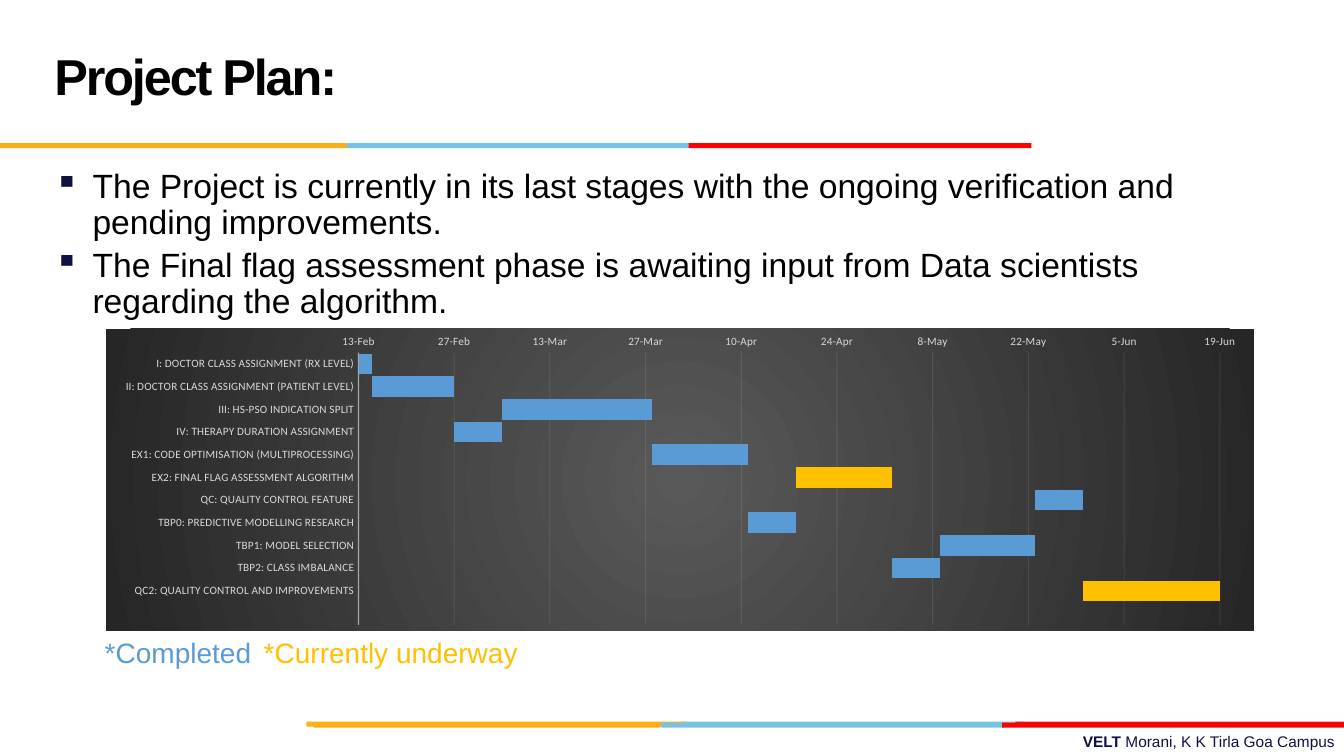
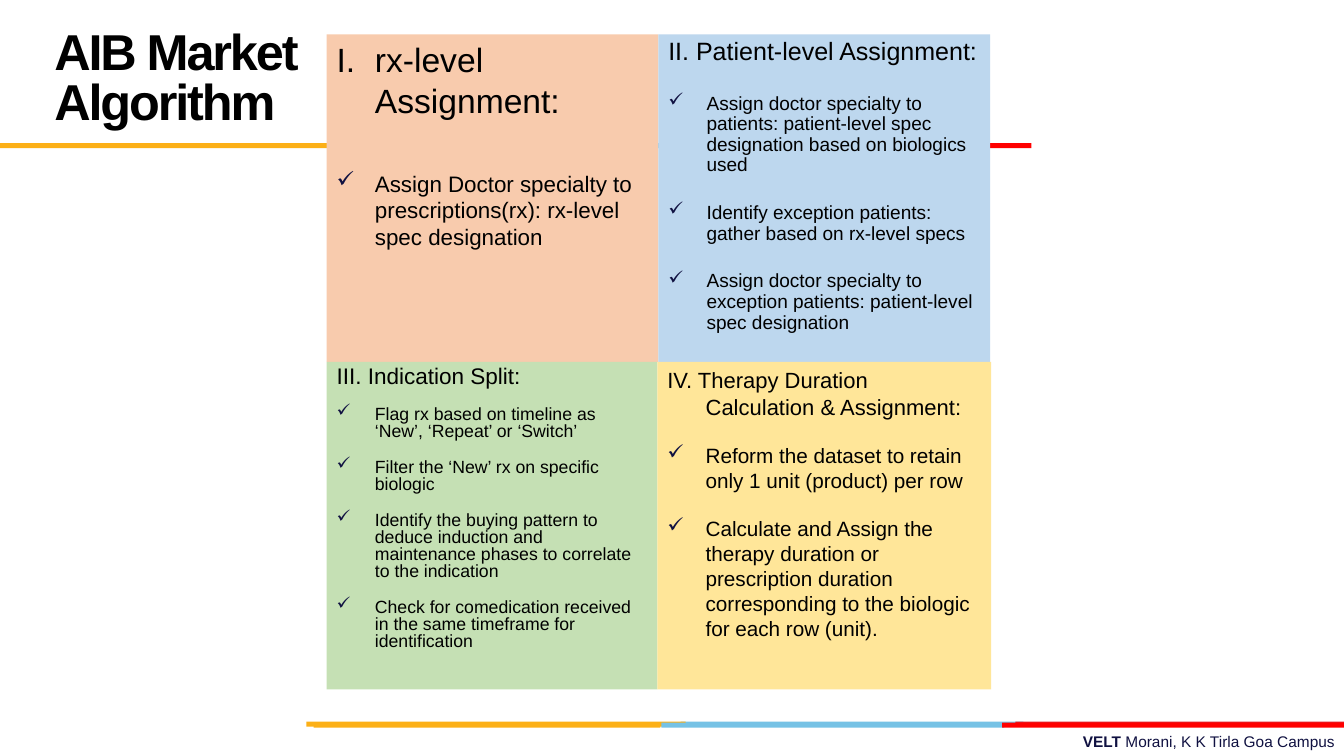
"""Build a two-slide project deck: a Gantt-style plan and a four-panel algorithm."""
import pptx
import pptx.chart.data
import pptx.dml.color
import pptx.enum.chart
import pptx.enum.shapes
import pptx.enum.text
import pptx.oxml
import pptx.oxml.ns
import pptx.util

RGB = pptx.dml.color.RGBColor
Pt = pptx.util.Pt
ALIGN = pptx.enum.text.PP_ALIGN
ANCHOR = pptx.enum.text.MSO_ANCHOR
RECTANGLE = pptx.enum.shapes.MSO_SHAPE.RECTANGLE
TICK_NONE = pptx.enum.chart.XL_TICK_MARK.NONE

PX = 9144
BLACK = RGB(0x00, 0x00, 0x00)
NAVY = RGB(0x10, 0x11, 0x41)
YELLOW = RGB(0xFC, 0xB0, 0x17)
SKY = RGB(0x76, 0xC2, 0xE5)
RED = RGB(0xFF, 0x00, 0x00)
CRIMSON = RGB(0xE3, 0x1C, 0x24)
DONE = RGB(0x5B, 0x9B, 0xD5)
UNDERWAY = RGB(0xFF, 0xC0, 0x00)
LABEL = RGB(0xD9, 0xD9, 0xD9)
RULE = RGB(0xF2, 0xF2, 0xF2)
PEACH = RGB(0xF8, 0xCB, 0xAD)
PALE_BLUE = RGB(0xBD, 0xD7, 0xEE)
PALE_GREEN = RGB(0xC5, 0xE0, 0xB4)
PALE_YELLOW = RGB(0xFF, 0xE6, 0x99)

BODY = {"name": "Arial", "color": BLACK}
TITLE = {**BODY, "size": Pt(36), "bold": True}
FOOTER = {"name": "Arial", "color": NAVY, "size": Pt(11)}
AXIS = {"name": "Calibri", "color": LABEL, "size": Pt(8)}
HANG = 38
LINE_HEIGHT = 1.15
SPACE_BEFORE = 0.2

BAR_HEIGHT = 5
BARS = [
    (675, 716, 340, SKY), (1007, 716, 326, CRIMSON), (304, 716, 376, YELLOW),
    (656, 717, 340, SKY), (311, 717, 344, YELLOW), (994, 717, 340, RED),
    (344, 142, 340, SKY), (0, 142, 344, YELLOW), (683, 142, 340, RED),
]
FOOTER_SPANS = [("VELT ", True), ("Morani, K K Tirla Goa Campus", False)]

PLAN_POINTS = [
    "The Project is currently in its last stages with the ongoing verification and pending improvements.",
    "The Final flag assessment phase is awaiting input from Data scientists regarding the algorithm.",
]
LEGEND = [("\t*Completed\t", DONE), (" *Currently underway", UNDERWAY)]
TASKS = [
    ("I: DOCTOR CLASS ASSIGNMENT (RX LEVEL)", 43509, 2),
    ("II: DOCTOR CLASS ASSIGNMENT (PATIENT LEVEL)", 43511, 12),
    ("III: HS-PSO INDICATION SPLIT", 43530, 22),
    ("IV: THERAPY DURATION ASSIGNMENT", 43523, 7),
    ("EX1: CODE OPTIMISATION (MULTIPROCESSING)", 43552, 14),
    ("EX2: FINAL FLAG ASSESSMENT ALGORITHM", 43573, 14),
    ("QC: QUALITY CONTROL FEATURE", 43608, 7),
    ("TBP0: PREDICTIVE MODELLING RESEARCH", 43566, 7),
    ("TBP1: MODEL SELECTION", 43594, 14),
    ("TBP2: CLASS IMBALANCE", 43587, 7),
    ("QC2: QUALITY CONTROL AND IMPROVEMENTS", 43615, 20),
    ("", None, None),
]
UNDERWAY_TASKS = (5, 10)
PLOT = {"x": 0.22, "y": 0.08, "w": 0.75, "h": 0.9}

PANELS = [
    {"at": (324, 34, 329, 325), "fill": PEACH, "sizes": (24, 24, 16), "spacing": 1.0,
     "heading": "I.\trx-level Assignment:",
     "points": ["Assign Doctor specialty to prescriptions(rx): rx-level spec designation"]},
    {"at": (653, 34, 329, 325), "fill": PALE_BLUE, "sizes": (17.9, 13.6, 13.6), "spacing": 0.9,
     "heading": "II. Patient-level Assignment:",
     "points": ["Assign doctor specialty to patients: patient-level spec designation based on biologics used",
                "Identify exception patients: gather based on rx-level specs",
                "Assign doctor specialty to exception patients: patient-level spec designation"]},
    {"at": (324, 359, 328, 325), "fill": PALE_GREEN, "sizes": (16.1, 9.8, 12.6), "spacing": 0.8,
     "heading": "III. Indication Split:",
     "points": ["Flag rx based on timeline as ‘New’, ‘Repeat’ or ‘Switch’",
                "Filter the ‘New’ rx on specific biologic",
                "Identify the buying pattern to deduce induction and maintenance phases "
                "to correlate to the indication",
                "Check for comedication received in the same timeframe for identification"]},
    {"at": (652, 359, 331, 325), "fill": PALE_YELLOW, "sizes": (15.7, 10.2, 14.8), "spacing": 1.0,
     "heading": "IV. Therapy Duration Calculation & Assignment:",
     "points": ["Reform the dataset to retain only 1 unit (product) per row",
                "Calculate and Assign the therapy duration or prescription duration "
                "corresponding to the biologic for each row (unit)."]},
]


def assign(target, values):
    for name, value in values.items():
        setattr(target, name, value)


def style(font, values):
    for name, value in values.items():
        if name == "color":
            font.color.rgb = value
        else:
            setattr(font, name, value)


def place(*lengths):
    return [length * PX for length in lengths]


def xml(markup):
    spaces = pptx.oxml.ns.nsdecls("a", "c")
    return pptx.oxml.parse_xml(markup.replace(">", f" {spaces}>", 1))


def add_rectangle(page, at, colour):
    box = page.shapes.add_shape(RECTANGLE, *place(*at))
    box.shadow.inherit = False
    box.fill.solid()
    box.fill.fore_color.rgb = colour
    box.line.fill.background()
    return box


def add_frame(page, at, anchor=ANCHOR.TOP):
    frame = page.shapes.add_textbox(*place(*at)).text_frame
    assign(frame, {"word_wrap": True, "vertical_anchor": anchor})
    return frame


def add_para(frame, spans, values, first=False, **layout):
    para = frame.paragraphs[0] if first else frame.add_paragraph()
    assign(para, {"alignment": ALIGN.LEFT, **layout})
    for text, extra in spans:
        span = para.add_run()
        span.text = text
        style(span.font, {**values, **extra})
    return para


def hang(para, bullet=None):
    properties = para._p.get_or_add_pPr()
    properties.set("marL", str(HANG * PX))
    properties.set("indent", str(-HANG * PX))
    if bullet:
        properties.append(xml(f'<a:buClr><a:srgbClr val="{NAVY}"/></a:buClr>'))
        properties.append(xml(f'<a:buChar char="{bullet}"></a:buChar>'))


def add_page(deck, title_lines):
    page = deck.slides.add_slide(deck.slide_layouts[6])
    for left, top, width, colour in BARS:
        add_rectangle(page, (left, top, width, BAR_HEIGHT), colour)
    footer = add_frame(page, (478, 721, 856, 29))
    add_para(footer, [(text, {"bold": bold}) for text, bold in FOOTER_SPANS], FOOTER,
             first=True, alignment=ALIGN.RIGHT)
    title = add_frame(page, (44, 17, 922, 125), ANCHOR.MIDDLE)
    for index, line in enumerate(title_lines):
        para = add_para(title, [(line, {})], TITLE, first=index == 0, line_spacing=Pt(36))
        para.runs[0]._r.get_or_add_rPr().set("spc", "-150")
    return page


def fade(chart, query, percent):
    for colour in chart.element.xpath(query):
        colour.append(xml(f'<a:alpha val="{percent * 1000}"></a:alpha>'))


def set_background(chart):
    stops = "".join(f'<a:gs pos="{position}"><a:srgbClr val="{colour}"/></a:gs>'
                    for position, colour in ((0, "595959"), (100000, "262626")))
    chart.element.xpath("c:chart")[0].addnext(xml(
        f'<c:spPr><a:gradFill><a:gsLst>{stops}</a:gsLst><a:path path="circle">'
        '<a:fillToRect l="50000" t="50000" r="50000" b="50000"/></a:path></a:gradFill>'
        '<a:ln><a:noFill/></a:ln></c:spPr>'))


def set_plot_area(chart):
    area = chart.element.xpath(".//c:plotArea")[0]
    for layout in area.xpath("c:layout"):
        area.remove(layout)
    sizes = "".join(f'<c:{name} val="{value}"/>' for name, value in PLOT.items())
    area.insert(0, xml('<c:layout><c:manualLayout><c:layoutTarget val="inner"/>'
                       '<c:xMode val="edge"/><c:yMode val="edge"/>'
                       f'{sizes}</c:manualLayout></c:layout>'))


def add_gantt(page):
    names, starts, days = zip(*TASKS)
    data = pptx.chart.data.CategoryChartData()
    data.categories = names
    data.add_series("Series 1", starts)
    data.add_series("Series 2", days)
    chart = page.shapes.add_chart(pptx.enum.chart.XL_CHART_TYPE.BAR_STACKED,
                                  *place(105, 326, 1139, 300), data).chart
    assign(chart, {"has_legend": False, "has_title": False})
    style(chart.font, {"name": "Calibri", "size": Pt(10), "color": BLACK})
    plot = chart.plots[0]
    assign(plot, {"gap_width": 10, "overlap": 100, "vary_by_categories": False})
    offset, duration = plot.series
    offset.format.fill.background()
    fills = [duration.format.fill]
    fills += [duration.points[index].format.fill for index in UNDERWAY_TASKS]
    for fill, colour in zip(fills, [DONE] + [UNDERWAY] * len(UNDERWAY_TASKS)):
        fill.solid()
        fill.fore_color.rgb = colour

    tasks, dates = chart.category_axis, chart.value_axis
    for axis in (tasks, dates):
        assign(axis, {"major_tick_mark": TICK_NONE, "minor_tick_mark": TICK_NONE})
        style(axis.tick_labels.font, AXIS)
    tasks.reverse_order = True
    assign(dates, {"minimum_scale": 43509, "maximum_scale": 43635, "major_unit": 14,
                   "has_major_gridlines": True})
    assign(dates.tick_labels, {"number_format": "d\\-mmm", "number_format_is_linked": False})
    dates.format.line.fill.background()
    for line, width in ((tasks.format.line, 1), (dates.major_gridlines.format.line, 0.75)):
        line.color.rgb = RULE
        line.width = Pt(width)
    fade(chart, ".//c:catAx/c:spPr//a:srgbClr", 54)
    fade(chart, ".//c:majorGridlines//a:srgbClr", 10)
    set_plot_area(chart)
    set_background(chart)


def add_plan(deck):
    page = add_page(deck, ["Project Plan:"])
    points = add_frame(page, (44, 163, 1200, 163))
    for index, text in enumerate(PLAN_POINTS):
        hang(add_para(points, [(text, {})], {**BODY, "size": Pt(24)}, first=index == 0,
                      line_spacing=0.9, space_before=Pt(24 * SPACE_BEFORE)), "▪")
    legend = add_frame(page, (44, 626, 1200, 110))
    add_para(legend, [(text, {"color": colour}) for text, colour in LEGEND],
             {**BODY, "size": Pt(20)}, first=True, space_before=Pt(20 * SPACE_BEFORE))
    add_gantt(page)


def add_panel(page, panel):
    frame = add_rectangle(page, panel["at"], panel["fill"]).text_frame
    assign(frame, {"word_wrap": True, "vertical_anchor": ANCHOR.TOP})
    heading, gap, body = panel["sizes"]
    spacing = panel["spacing"]
    before = body * SPACE_BEFORE + gap * (LINE_HEIGHT * spacing + SPACE_BEFORE)
    hang(add_para(frame, [(panel["heading"], {})], {**BODY, "size": Pt(heading)}, first=True,
                  line_spacing=spacing, space_before=Pt(heading * SPACE_BEFORE)))
    for text in panel["points"]:
        hang(add_para(frame, [(text, {})], {**BODY, "size": Pt(body)},
                      line_spacing=spacing, space_before=Pt(before)), "✓")


def add_algorithm(deck):
    page = add_page(deck, ["AIB Market", "Algorithm"])
    for panel in PANELS:
        add_panel(page, panel)


def main():
    deck = pptx.Presentation()
    assign(deck, {"slide_width": 1333 * PX, "slide_height": 750 * PX})
    add_plan(deck)
    add_algorithm(deck)
    deck.save("out.pptx")


if __name__ == "__main__":
    main()
